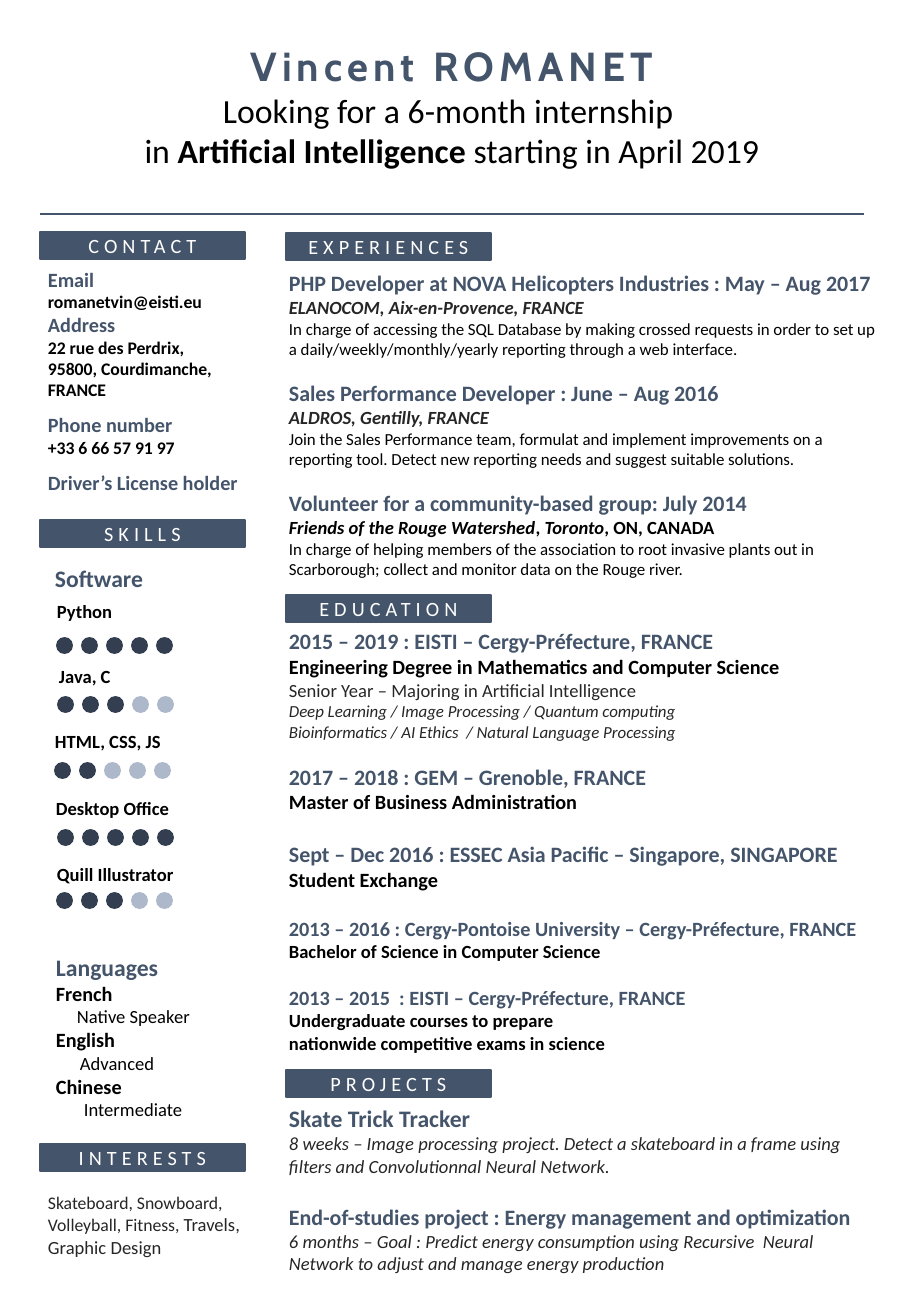
from dataclasses import dataclass, field
from typing import Any, NamedTuple

from lxml import etree
from pptx import Presentation
from pptx.dml.color import RGBColor
from pptx.enum.shapes import MSO_CONNECTOR, MSO_SHAPE
from pptx.enum.text import MSO_ANCHOR, MSO_AUTO_SIZE, PP_ALIGN
from pptx.oxml.ns import qn
from pptx.util import Emu, Pt

RECT, OVAL = MSO_SHAPE.RECTANGLE, MSO_SHAPE.OVAL
STRAIGHT = MSO_CONNECTOR.STRAIGHT
MIDDLE = MSO_ANCHOR.MIDDLE
GROW, FIXED = MSO_AUTO_SIZE.SHAPE_TO_FIT_TEXT, MSO_AUTO_SIZE.NONE
LEFT, CENTER = PP_ALIGN.LEFT, PP_ALIGN.CENTER

SLATE = RGBColor(0x44, 0x54, 0x6A)
NAVY = RGBColor(0x33, 0x3F, 0x50)
PALE = RGBColor(0xAD, 0xB9, 0xCA)
GREY = RGBColor(0x26, 0x26, 0x26)
BLACK = RGBColor(0, 0, 0)
WHITE = RGBColor(0xFF, 0xFF, 0xFF)

PX_PER_INCH = 121.5
BAR_W, BAR_H = 205, 27
DOT, DOT_PITCH, DOT_COUNT = 17, 25, 5
LABEL_H = 35


def px(n: int) -> Emu:
    return Emu(round(n * 914400 / PX_PER_INCH))


class Run(NamedTuple):
    text: str
    size: float
    color: RGBColor = BLACK
    bold: bool = False
    italic: bool = False
    font: str = "Calibri"
    tracking: int = 0


@dataclass
class Para:
    runs: list[Run]
    align: Any = LEFT
    before: float = 0
    spacing: float = 1.0
    indent: int = 0


@dataclass
class Block:
    box: tuple[int, int, int, int]
    paras: list[Para] = field(default_factory=list)
    auto: Any = GROW


class Bar(NamedTuple):
    text: str
    x: int
    y: int


class Skill(NamedTuple):
    name: str
    x: int
    y: int
    w: int
    dot_x: int
    dot_y: int
    level: int


def head(text: str, size: float = 13, before: float = 0, spacing: float = 1.0) -> Para:
    return Para([Run(text, size, SLATE, True)], before=before, spacing=spacing)


def strong(text: str, size: float) -> Para:
    return Para([Run(text, size, bold=True)])


def plain(text: str, size: float, color: RGBColor = BLACK, indent: int = 0) -> Para:
    return Para([Run(text, size, color)], indent=indent)


def slanted(text: str, size: float, bold: bool = False) -> Para:
    return Para([Run(text, size, GREY, bold, True)])


def write(tf: Any, paras: list[Para]) -> None:
    for i, para in enumerate(paras):
        p = tf.paragraphs[0] if i == 0 else tf.add_paragraph()
        formats = {"alignment": para.align, "space_before": Pt(para.before),
                   "line_spacing": para.spacing}
        for name, value in formats.items():
            setattr(p, name, value)
        if para.indent:
            p._p.get_or_add_pPr().set("marL", str(px(para.indent)))
        for run in para.runs:
            r = p.add_run()
            r.text = run.text
            fonts = {"size": Pt(run.size), "name": run.font,
                     "bold": run.bold, "italic": run.italic}
            for name, value in fonts.items():
                setattr(r.font, name, value)
            r.font.color.rgb = run.color
            if run.tracking:
                r._r.get_or_add_rPr().set("spc", str(run.tracking))


def add_block(shapes: Any, block: Block) -> None:
    tf = shapes.add_textbox(*map(px, block.box)).text_frame
    tf.word_wrap = True
    tf.auto_size = block.auto
    write(tf, block.paras)


def add_filled(shapes: Any, kind: Any, box: tuple[int, int, int, int], color: RGBColor) -> Any:
    sp = shapes.add_shape(kind, *map(px, box))
    sp.shadow.inherit = False
    sp.fill.solid()
    sp.fill.fore_color.rgb = color
    sp.line.fill.background()
    return sp


def add_bar(shapes: Any, bar: Bar) -> None:
    sp = add_filled(shapes, RECT, (bar.x, bar.y, BAR_W, BAR_H), SLATE)
    sp.line.color.rgb = SLATE
    sp.line.width = Pt(1)
    sp.text_frame.vertical_anchor = MIDDLE
    write(sp.text_frame, [Para([Run(bar.text, 12, WHITE, tracking=300)], CENTER)])


def add_skill(shapes: Any, skill: Skill) -> None:
    group = shapes.add_group_shape().shapes
    add_block(group, Block((skill.x, skill.y, skill.w, LABEL_H), [strong(skill.name, 11)]))
    for i in range(DOT_COUNT):
        box = (skill.dot_x + i * DOT_PITCH, skill.dot_y, DOT, DOT)
        add_filled(group, OVAL, box, NAVY if i < skill.level else PALE)


def add_rule(shapes: Any, x1: int, x2: int, y: int) -> None:
    line = shapes.add_connector(STRAIGHT, px(x1), px(y), px(x2), px(y))
    line.line.color.rgb = SLATE
    line.line.width = Pt(1)
    etree.SubElement(line._element.spPr, qn("a:effectLst"))


BARS = [
    Bar("CONTACT", 40, 232), Bar("SKILLS", 40, 520), Bar("INTERESTS", 40, 1144),
    Bar("EXPERIENCES", 286, 233), Bar("EDUCATION", 286, 595), Bar("PROJECTS", 286, 1070),
]
SKILLS = [
    Skill("Python", 45, 594, 82, 56, 637, 5),
    Skill("Java, C", 47, 659, 83, 57, 696, 3),
    Skill("HTML, CSS, JS", 43, 724, 134, 54, 762, 2),
    Skill("Desktop Office", 44, 791, 152, 57, 829, 5),
    Skill("Quill Illustrator", 45, 857, 158, 56, 892, 3),
]
HEADER = Block((131, 35, 642, 143), [
    Para([Run("Vincent ROMANET", 24, SLATE, True, font="Cabin", tracking=300)], CENTER),
    Para([Run("Looking for a 6-month internship ", 20)], CENTER),
    Para([Run("in ", 20), Run("Artificial Intelligence ", 20, bold=True),
          Run("starting in April 2019", 20)], CENTER)])
CONTACT = Block((36, 261, 243, 286), [
    head("Email", 12), strong("romanetvin@eisti.eu", 10.5),
    head("Address", 12), strong("22 rue des Perdrix,", 10.5),
    strong("95800, Courdimanche, FRANCE", 10.5),
    head("Phone number", 12, spacing=1.5), strong("+33 6 66 57 91 97", 10.5),
    head("Driver’s License holder", 12, spacing=1.5)])
SOFTWARE = Block((43, 558, 114, 41), [head("Software", 14)])
LANGUAGES = Block((44, 904, 205, 225), [
    head("Languages", 14, spacing=2.5),
    strong("French", 12), plain("Native Speaker", 11, indent=21),
    strong("English", 12), plain("Advanced", 11, indent=24),
    strong("Chinese", 12), plain("Intermediate", 11, indent=28)])
INTERESTS = Block((36, 1186, 226, 100), [Para([
    Run("Skateboard, Snowboard, Volleyball, Fitness, ", 10.5, GREY),
    Run("Travels, Graphic Design", 11, GREY)])])
EXPERIENCES = Block((277, 264, 610, 335), [
    head("PHP Developer at NOVA Helicopters Industries : May – Aug 2017"),
    slanted("ELANOCOM, Aix-en-Provence, FRANCE", 11, True),
    plain("In charge of accessing the SQL Database by making crossed requests in order to set up "
          "a daily/weekly/monthly/yearly reporting through a web interface.", 10),
    head("Sales Performance Developer : June – Aug 2016", before=12.2),
    slanted("ALDROS, Gentilly, FRANCE", 11, True),
    plain("Join the Sales Performance team, formulat and implement improvements on a "
          "reporting tool. Detect new reporting needs and suggest suitable solutions.", 10),
    head("Volunteer for a community-based group: July 2014", before=12.2),
    Para([Run("Friends of the Rouge Watershed", 11, bold=True, italic=True),
          Run(", ", 11, bold=True), Run("Toronto", 11, bold=True, italic=True),
          Run(", ON, CANADA", 11, bold=True)]),
    plain("In charge of helping members of the association to root invasive plants out in "
          "Scarborough; collect and monitor data on the Rouge river.", 10)], FIXED)
EDUCATION = Block((277, 622, 610, 447), [
    head("2015 – 2019 : EISTI – Cergy-Préfecture, FRANCE"),
    strong("Engineering Degree in Mathematics and Computer Science", 12),
    plain("Senior Year – Majoring in Artificial Intelligence", 11, GREY),
    slanted("Deep Learning / Image Processing / Quantum computing", 10),
    slanted("Bioinformatics / AI Ethics  / Natural Language Processing", 10),
    head("2017 – 2018 : GEM – Grenoble, FRANCE", before=12.8),
    strong("Master of Business Administration", 12),
    head("Sept – Dec 2016 : ESSEC Asia Pacific – Singapore, SINGAPORE", before=15.9),
    strong("Student Exchange", 12),
    head("2013 – 2016 : Cergy-Pontoise University – Cergy-Préfecture, FRANCE", 12, 14.6),
    strong("Bachelor of Science in Computer Science", 11),
    head("2013 – 2015  : EISTI – Cergy-Préfecture, FRANCE", 12, 13.4),
    strong("Undergraduate courses to prepare", 11),
    strong("nationwide competitive exams in science", 11)], FIXED)
PROJECTS = Block((277, 1098, 610, 186), [
    head("Skate Trick Tracker", 14),
    slanted("8 weeks – Image processing project. Detect a skateboard in a frame using "
            "filters and Convolutionnal Neural Network.", 11),
    head("End-of-studies project : Energy management and optimization", before=15.9),
    slanted("6 months – Goal : Predict energy consumption using Recursive  Neural "
            "Network to adjust and manage energy production", 11)], FIXED)


def main() -> None:
    prs = Presentation()
    prs.slide_width, prs.slide_height = px(911), px(1316)
    s = prs.slides.add_slide(prs.slide_layouts[6])
    # Header rule and section bars
    add_rule(s.shapes, 40, 864, 214)
    for bar in BARS:
        add_bar(s.shapes, bar)
    # Text of both columns
    for block in (HEADER, CONTACT, SOFTWARE, LANGUAGES, INTERESTS,
                  EXPERIENCES, EDUCATION, PROJECTS):
        add_block(s.shapes, block)
    # Skill ratings
    for skill in SKILLS:
        add_skill(s.shapes, skill)
    prs.save("out.pptx")


if __name__ == "__main__":
    main()
